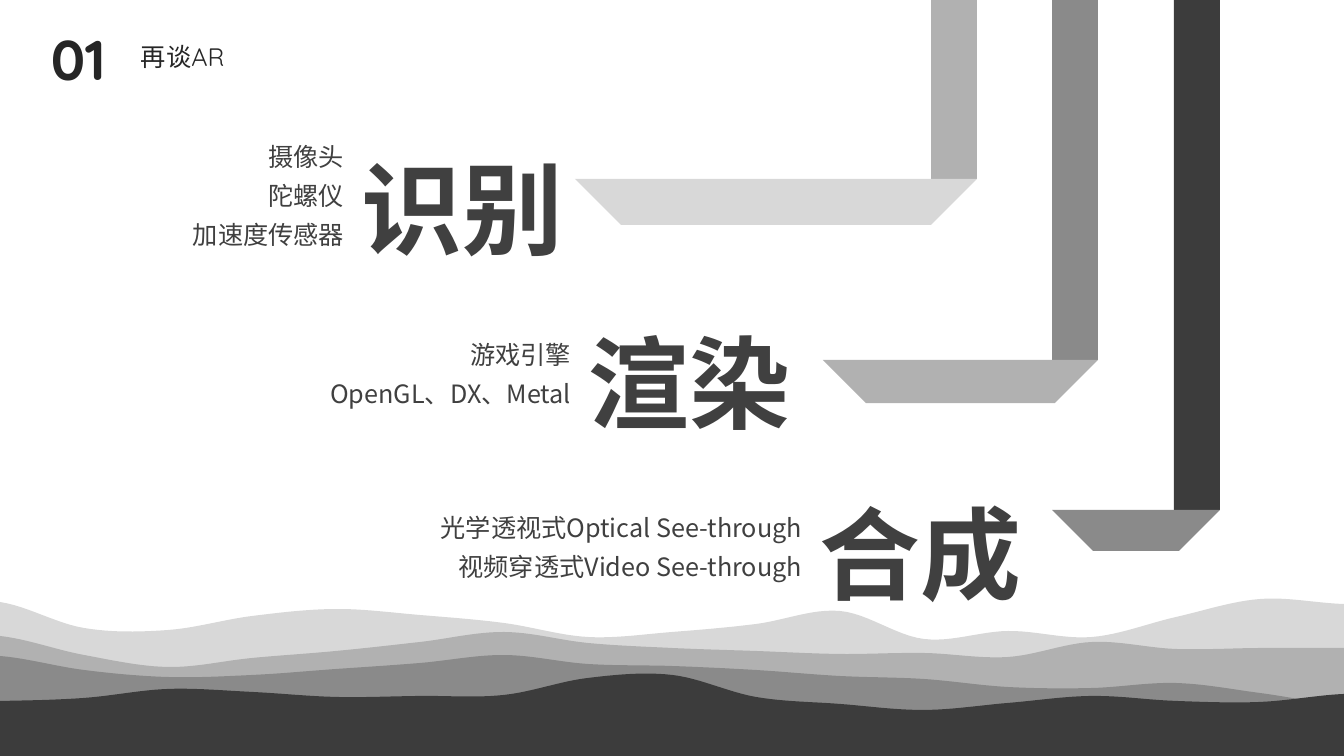
"""Build the AR overview slide: three stages hung from columns above a mountain range."""
from math import sqrt

from lxml import etree
from pptx import Presentation
from pptx import util as u
from pptx.dml.color import RGBColor
from pptx.enum import shapes, text
from pptx.oxml.ns import qn

SCALE = 12192000 / 1344
WIDTH, HEIGHT = 1344, 756
CJK, LATIN = "Noto Sans CJK SC", "Quicksand"
COLORS = {
    "mist": "D8D8D8", "silver": "B1B1B1", "stone": "8A8A8A", "coal": "3C3C3C",
    "title": "262626", "body": "404040",
}
RIDGES = {
    "mist": [602, 628, 630, 616, 609, 615, 623, 637, 632, 624, 611, 639, 631, 637, 617, 599, 604],
    "silver": [636, 655, 667, 658, 651, 642, 632, 643, 648, 651, 654, 653, 657, 642, 649, 648, 648],
    "stone": [656, 670, 677, 675, 669, 663, 655, 664, 666, 670, 676, 679, 687, 688, 683, 693, 705],
    "coal": [701, 698, 689, 692, 697, 696, 695, 678, 675, 697, 704, 710, 703, 696, 701, 702, 694],
}


def px(length):
    """Turn px into EMU."""
    return u.Emu(round(length * SCALE))


def paint(shape, color):
    """Give a shape a flat fill without line or shadow."""
    shape.shadow.inherit = False
    shape.fill.solid()
    shape.fill.fore_color.rgb = RGBColor.from_string(COLORS[color])
    shape.line.fill.background()


def write(slide, box, lines, size, color, latin, spacing, bold=False, wrap=True,
          align=text.PP_ALIGN.LEFT, anchor=text.MSO_ANCHOR.TOP):
    """Write lines of text, one paragraph each, in a box."""
    frame = slide.shapes.add_textbox(*map(px, box)).text_frame
    frame.word_wrap = wrap
    frame.vertical_anchor = anchor
    frame.text = "\n".join(lines)
    for paragraph in frame.paragraphs:
        paragraph.alignment = align
        paragraph.line_spacing = spacing
        font = paragraph.font
        font.size, font.bold, font.name = u.Pt(size), bold, latin
        font.color.rgb = RGBColor.from_string(COLORS[color])
        defaults = paragraph._p.pPr.find(qn("a:defRPr"))
        etree.SubElement(defaults, qn("a:ea"), typeface=CJK)


def smooth(heights, width, parts=12):
    """Return points along a smooth curve through evenly spaced heights."""
    gap = width / (len(heights) - 1)
    padded = [heights[0], *heights, heights[-1]]
    slopes = [(after - before) / 2 for before, after in zip(padded, padded[2:])]
    curve = []
    for i, (y0, y1) in enumerate(zip(heights, heights[1:])):
        for part in range(parts):
            t = part / parts
            bend = slopes[i] * (1 - t) - slopes[i + 1] * t
            y = y0 + (y1 - y0) * t * t * (3 - 2 * t) + t * (1 - t) * bend
            curve.append(((i + t) * gap, y))
    return curve + [(width, heights[-1])]


def add_mountains(slide, box):
    """Layer the ridges from back to front, each filled to the foot of the box."""
    left, top, width, height = box
    for color, heights in RIDGES.items():
        outline = [(left + x, top + y) for x, y in smooth(heights, width)]
        outline += [(left + width, top + height), (left, top + height)]
        points = [(px(x), px(y)) for x, y in outline]
        builder = slide.shapes.build_freeform(*points[0])
        builder.add_line_segments(points[1:], close=True)
        paint(builder.convert_to_shape(), color)


def add_title(slide, box):
    """Place the chapter number and its title side by side."""
    left, top, width, height = box
    write(slide, (left, top, 89, height), ["01"], 40, "title", LATIN, 0.9, bold=True)
    write(slide, (left + 90, top + 13, width - 90, 37), ["再谈AR"], 18, "title", LATIN, 0.9,
          anchor=text.MSO_ANCHOR.MIDDLE)


def add_stage(slide, box, heading, notes, notes_width, notes_drop, ribbon):
    """Place a stage: column and shelf on the right, notes and heading on the left."""
    left, top, width, height = box
    column_color, shelf_color, shelf_drop, span, depth = ribbon
    right, shelf = left + width, top + shelf_drop
    column = slide.shapes.add_shape(
        shapes.MSO_SHAPE.RECTANGLE, px(right - 46), 0, px(46), px(shelf))
    paint(column, column_color)

    side = span / sqrt(2)
    stripe = slide.shapes.add_shape(
        shapes.MSO_SHAPE.DIAGONAL_STRIPE, px(right - span / 2 - side / 2),
        px(shelf - side / 2), px(side), px(side))
    stripe.adjustments[0] = 1 - depth * sqrt(2) / side
    stripe.rotation = 315
    stripe._element.spPr.find(qn("a:xfrm")).set("flipV", "1")
    paint(stripe, shelf_color)

    write(slide, (left, top + notes_drop, notes_width, height - notes_drop), notes, 18,
          "body", CJK, 1.3, align=text.PP_ALIGN.RIGHT)
    write(slide, (left + notes_width - 2, top, 224, height), [heading], 72, "body", LATIN,
          1.3, bold=True, wrap=False)


def main():
    """Build and save the slide."""
    deck = Presentation()
    deck.slide_width, deck.slide_height = px(WIDTH), px(HEIGHT)
    slide = deck.slides.add_slide(deck.slide_layouts[6])
    add_mountains(slide, (0, 0, WIDTH, HEIGHT))
    add_title(slide, (41, 27, 296, 65))
    add_stage(slide, (355, 450, 865, 153), "合成",
              ["光学透视式Optical See-through", "视频穿透式Video See-through"],
              457, 48, ("coal", "stone", 60, 168, 41))
    add_stage(slide, (259, 279, 839, 153), "渲染", ["游戏引擎", "OpenGL、DX、Metal"],
              322, 46, ("stone", "silver", 81, 275, 43))
    add_stage(slide, (32, 105, 945, 153), "识别", ["摄像头", "陀螺仪", "加速度传感器"],
              322, 22, ("silver", "mist", 74, 402, 46))
    deck.save("out.pptx")


if __name__ == "__main__":
    main()
